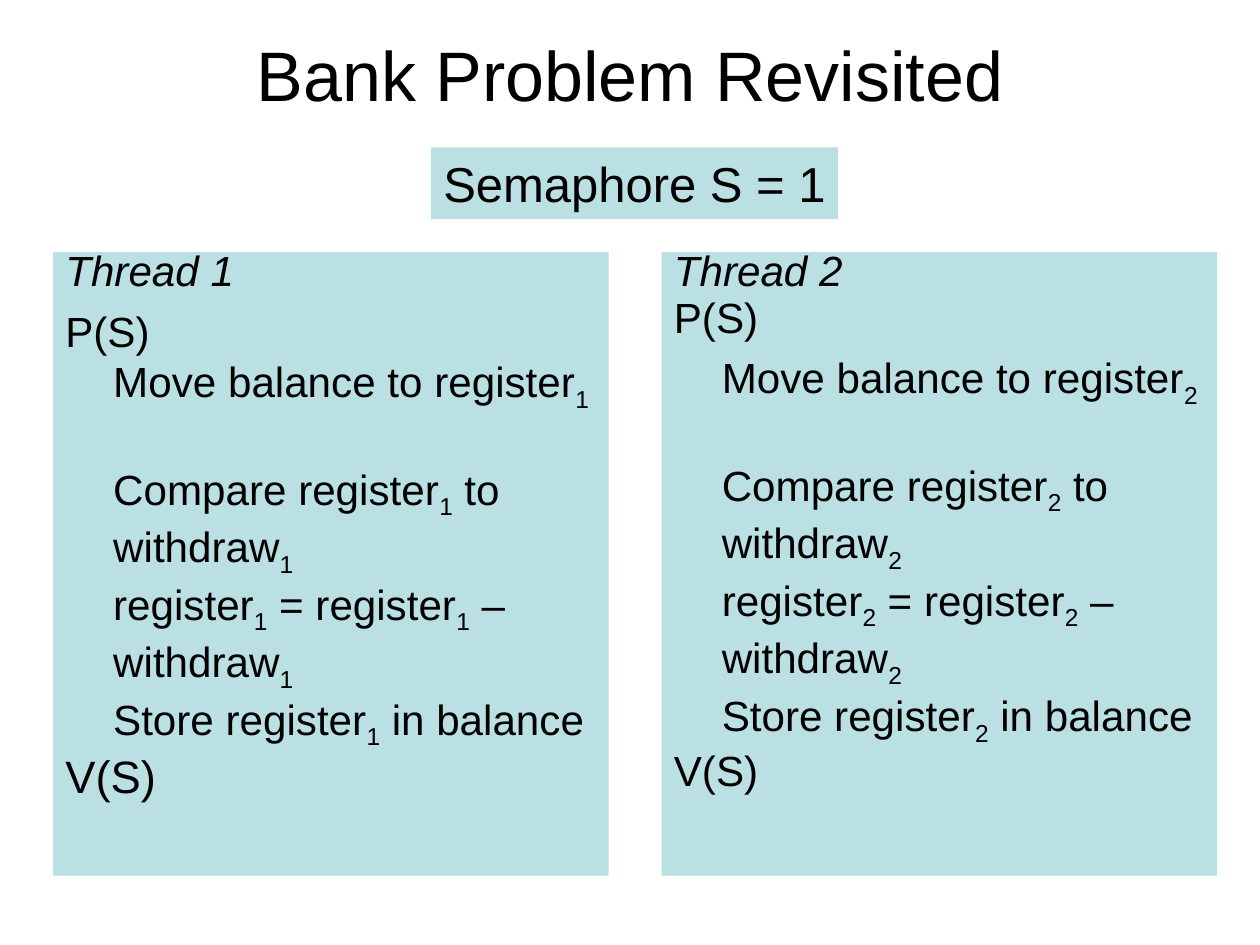
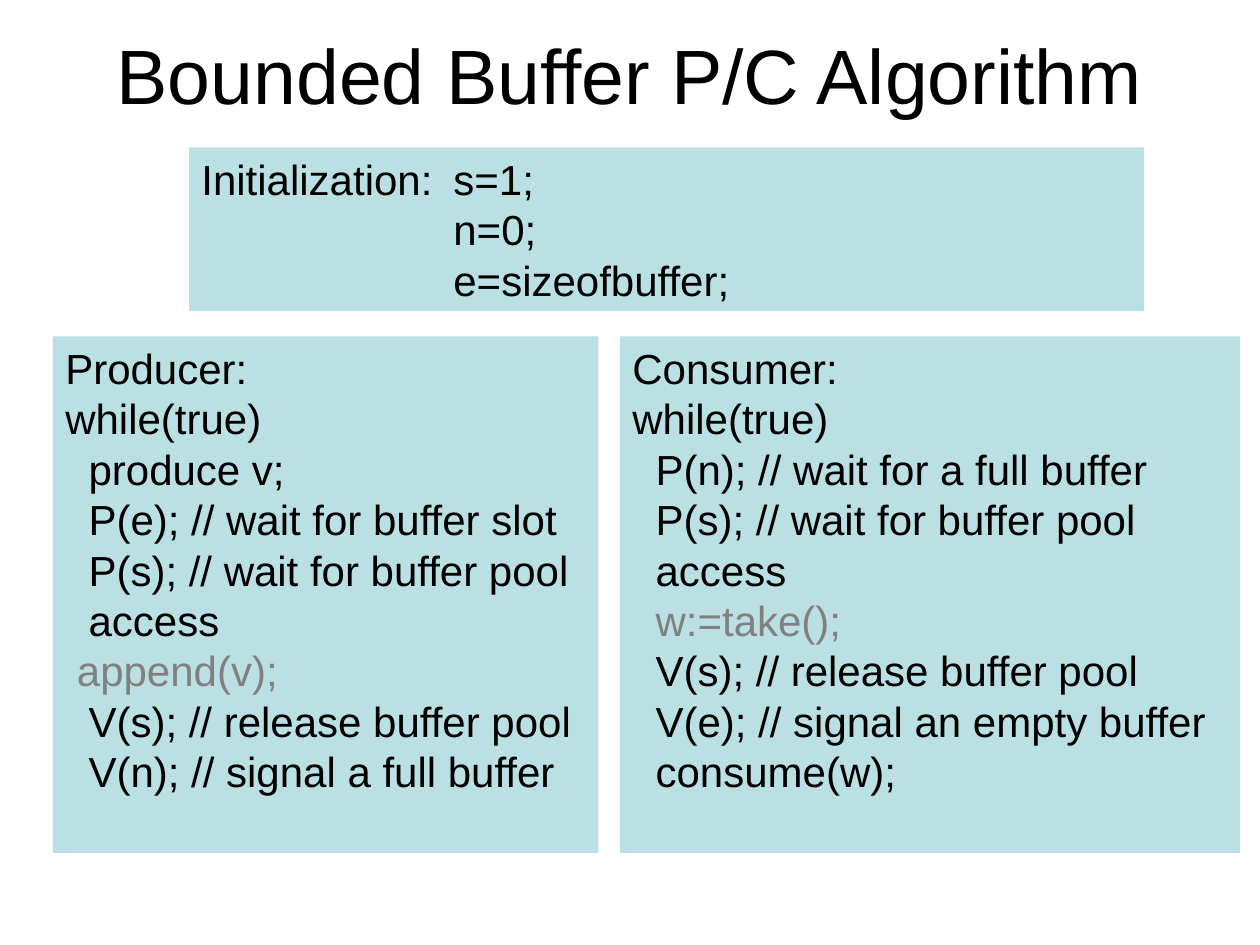
import dataclasses

import lxml.etree
import pptx
import pptx.dml.color
import pptx.enum.shapes
import pptx.enum.text
import pptx.oxml.ns
import pptx.util

Inches = pptx.util.Inches
Pt = pptx.util.Pt
RGB = pptx.dml.color.RGBColor
ALIGN = pptx.enum.text.PP_ALIGN
ANCHOR = pptx.enum.text.MSO_ANCHOR


@dataclasses.dataclass(frozen=True)
class Theme:
    font: str = "Arial"
    ink: RGB = RGB(0x00, 0x00, 0x00)
    muted: RGB = RGB(0x80, 0x80, 0x80)
    panel: RGB = RGB(0xBB, 0xE0, 0xE3)
    semaphore_size: float = 28
    thread_size: float = 24.1
    code_size: float = 24
    step_indent: float = 0.38
    tight: float = 0.7
    step_gap: float = 6.5


THEME = Theme()

STEPS = [
    "Move balance to register#",
    "Compare register# to withdraw#",
    "register# = register# – withdraw#",
    "Store register# in balance",
]

PRODUCER = [
    "Producer:",
    "while(true)",
    "  produce v;",
    "  P(e); // wait for buffer slot",
    "  P(s); // wait for buffer pool",
    "  access",
    " append(v);",
    "  V(s); // release buffer pool",
    "  V(n); // signal a full buffer",
]

CONSUMER = [
    "Consumer:",
    "while(true)",
    "  P(n); // wait for a full buffer",
    "  P(s); // wait for buffer pool",
    "  access",
    "  w:=take();",
    "  V(s); // release buffer pool",
    "  V(e); // signal an empty buffer",
    "  consume(w);",
]

CRITICAL_SECTION = {"append(v);", "w:=take();"}


def apply_format(target, values):
    for name, value in values.items():
        setattr(target, name, value)


def next_paragraph(frame):
    first = frame.paragraphs[0]
    return frame.add_paragraph() if first.runs else first


def add_line(frame, text, size, color=THEME.ink, italic=False, subscript="",
             tab_stop=None, indent=None, **spacing):
    paragraph = next_paragraph(frame)
    properties = paragraph._p.get_or_add_pPr()
    if tab_stop:
        stops = lxml.etree.SubElement(properties, pptx.oxml.ns.qn("a:tabLst"))
        lxml.etree.SubElement(stops, pptx.oxml.ns.qn("a:tab"),
                              pos=str(Inches(tab_stop)), algn="l")
    if indent:
        properties.set("marL", str(Inches(indent)))
    apply_format(paragraph, {"alignment": ALIGN.LEFT, **spacing})

    def add_run(content):
        run = paragraph.add_run()
        run.text = content
        apply_format(run.font, {"name": THEME.font, "size": Pt(size), "italic": italic})
        run.font.color.rgb = color
        return run

    for position, part in enumerate(text.split("#")):
        if position:
            add_run(subscript)._r.get_or_add_rPr().set("baseline", "-25000")
        if part:
            add_run(part)


def add_title(slide, text, top, height, size):
    title = slide.shapes.add_textbox(Inches(0.75), Inches(top), Inches(8.5), Inches(height))
    apply_format(title.text_frame, {"word_wrap": True, "vertical_anchor": ANCHOR.MIDDLE})
    add_line(title.text_frame, text, size, alignment=ALIGN.CENTER)


def add_panel(slide, left, top, width, height, wrap=True):
    panel = slide.shapes.add_shape(
        pptx.enum.shapes.MSO_SHAPE.RECTANGLE,
        Inches(left), Inches(top), Inches(width), Inches(height))
    panel.shadow.inherit = False
    panel.fill.solid()
    panel.fill.fore_color.rgb = THEME.panel
    panel.line.fill.background()
    apply_format(panel.text_frame, {"word_wrap": wrap, "vertical_anchor": ANCHOR.TOP})
    return panel.text_frame


def add_thread(slide, number, left, lock_format, unlock_size, unlock_gap, first_step_gap):
    thread = add_panel(slide, left, 2, 4.41, 4.95)
    size = THEME.thread_size
    add_line(thread, f"Thread {number}", size, italic=True, line_spacing=THEME.tight)
    add_line(thread, "P(S)", size, **lock_format)
    gaps = [first_step_gap, 28.5, 0, 0]
    for step, gap in zip(STEPS, gaps):
        add_line(thread, step, size, subscript=str(number),
                 indent=THEME.step_indent, space_before=Pt(gap))
    add_line(thread, "V(S)", unlock_size, line_spacing=THEME.tight,
             space_before=Pt(unlock_gap))


def add_code(slide, lines, left, width):
    code = add_panel(slide, left, 2.67, width, 4.1)
    for line in lines:
        color = THEME.muted if line.strip() in CRITICAL_SECTION else THEME.ink
        add_line(code, line, THEME.code_size, color)


def build_bank_problem(slide):
    add_title(slide, "Bank Problem Revisited", 0.25, 0.67, 40)
    gap = {"space_before": Pt(THEME.step_gap)}
    add_thread(slide, 1, 0.42, gap, 25.9, 7, 0)
    add_thread(slide, 2, 5.25, {"line_spacing": THEME.tight, **gap},
               THEME.thread_size, THEME.step_gap, THEME.step_gap)
    semaphore = add_panel(slide, 3.42, 1.17, 3.23, 0.57, wrap=False)
    add_line(semaphore, "Semaphore S = 1", THEME.semaphore_size)


def build_bounded_buffer(slide):
    add_title(slide, "Bounded Buffer P/C Algorithm", 0.17, 0.83, 44)
    initialization = add_panel(slide, 1.5, 1.17, 7.58, 1.3)
    for line in ("Initialization:\ts=1;", "\tn=0;", "\te=sizeofbuffer;"):
        add_line(initialization, line, THEME.code_size, tab_stop=2)
    add_code(slide, PRODUCER, 0.42, 4.33)
    add_code(slide, CONSUMER, 4.92, 4.92)


def main():
    deck = pptx.Presentation()
    apply_format(deck, {"slide_width": Inches(10), "slide_height": Inches(7.5)})
    blank = deck.slide_layouts[6]
    for build in (build_bank_problem, build_bounded_buffer):
        build(deck.slides.add_slide(blank))
    deck.save("out.pptx")


if __name__ == "__main__":
    main()
